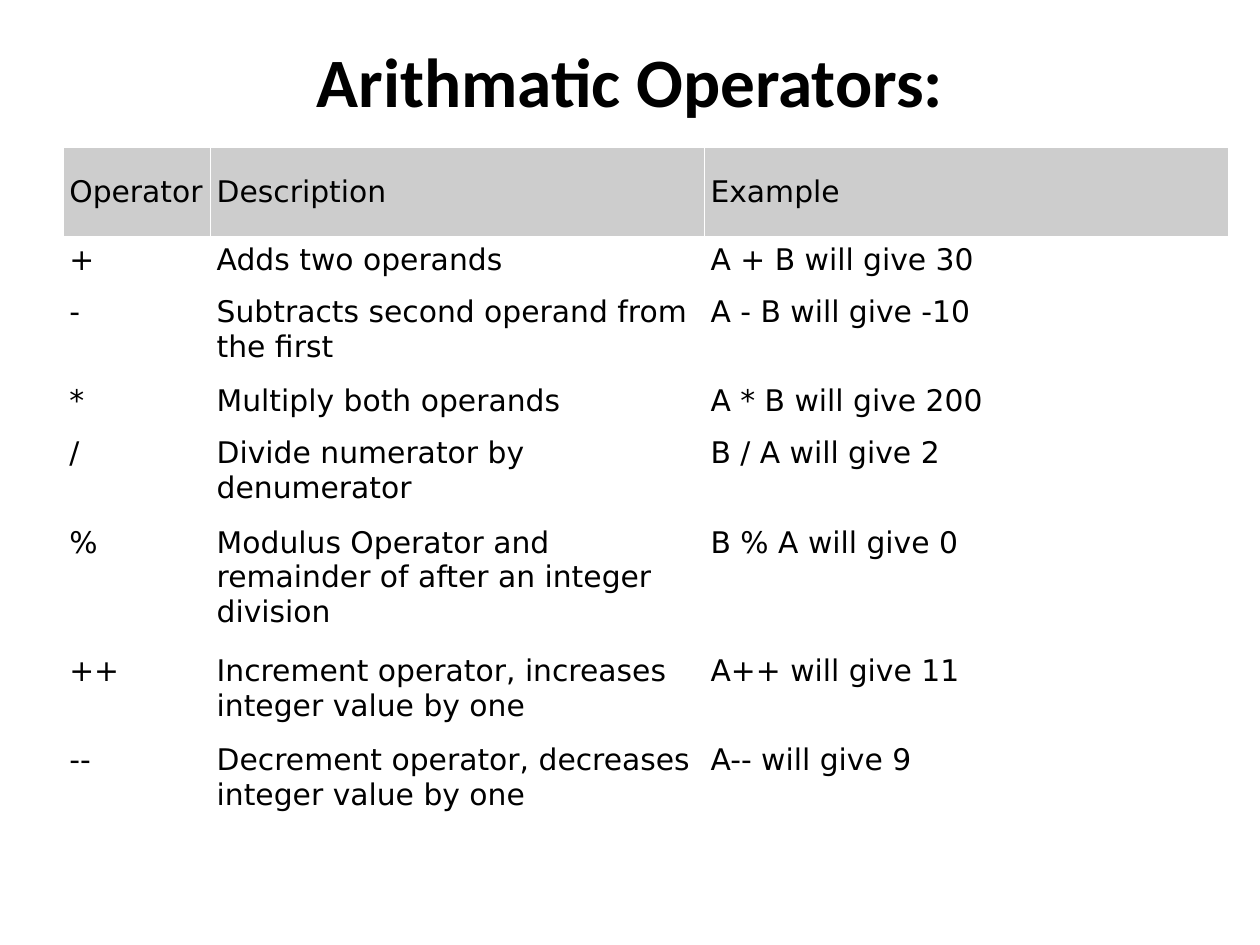
"""Build a slide with a table of arithmetic operators."""
import pptx
import pptx.dml.color
import pptx.enum.text
import pptx.util

Inches = pptx.util.Inches
Pt = pptx.util.Pt
RGBColor = pptx.dml.color.RGBColor
Anchor = pptx.enum.text.MSO_ANCHOR

BLACK = RGBColor(0x00, 0x00, 0x00)
WHITE = RGBColor(0xFF, 0xFF, 0xFF)
GRAY = RGBColor(0xCD, 0xCD, 0xCD)


def style(par, name, size, bold=False):
    par.font.name = name
    par.font.size = Pt(size)
    par.font.bold = bold
    par.font.color.rgb = BLACK


deck = pptx.Presentation()
deck.slide_width = Inches(10)
deck.slide_height = Inches(7.5)
slide = deck.slides.add_slide(deck.slide_layouts[6])

title = slide.shapes.add_textbox(Inches(0.5), Inches(0.3), Inches(9), Inches(1.25))
frame = title.text_frame
frame.word_wrap = True
frame.margin_top = 0
frame.vertical_anchor = Anchor.TOP
frame.text = "Arithmatic Operators:"
head = frame.paragraphs[0]
head.alignment = pptx.enum.text.PP_ALIGN.CENTER
style(head, "Calibri", 39.6, True)

rows = [
    (0.71, "Operator", "Description", "Example"),
    (0.41, "+", "Adds two operands", "A + B will give 30"),
    (0.71, "-", "Subtracts second operand from the first", "A - B will give -10"),
    (0.41, "*", "Multiply both operands", "A * B will give 200"),
    (0.71, "/", "Divide numerator by denumerator", "B / A will give 2"),
    (1.02, "%", "Modulus Operator and remainder of after an integer division",
     "B % A will give 0"),
    (0.71, "++", "Increment operator, increases integer value by one",
     "A++ will give 11"),
    (1.02, "--", "Decrement operator, decreases integer value by one",
     "A-- will give 9"),
]
widths = [1.17, 3.92, 4.16]

table = slide.shapes.add_table(
    len(rows), len(widths), Inches(0.5), Inches(1.17),
    Inches(sum(widths)), Inches(sum(row[0] for row in rows))).table
table.first_row = False
table.horz_banding = False
for col, width in zip(table.columns, widths):
    col.width = Inches(width)

for r, (height, *texts) in enumerate(rows):
    table.rows[r].height = Inches(height)
    for c, text in enumerate(texts):
        cell = table.cell(r, c)
        cell.text = text
        cell.margin_left = cell.margin_right = Inches(0.05)
        cell.margin_top = cell.margin_bottom = Inches(0.05)
        cell.vertical_anchor = Anchor.TOP if r else Anchor.MIDDLE
        cell.fill.solid()
        cell.fill.fore_color.rgb = WHITE if r else GRAY
        style(cell.text_frame.paragraphs[0], "DejaVu Sans", 17)

deck.save("out.pptx")
